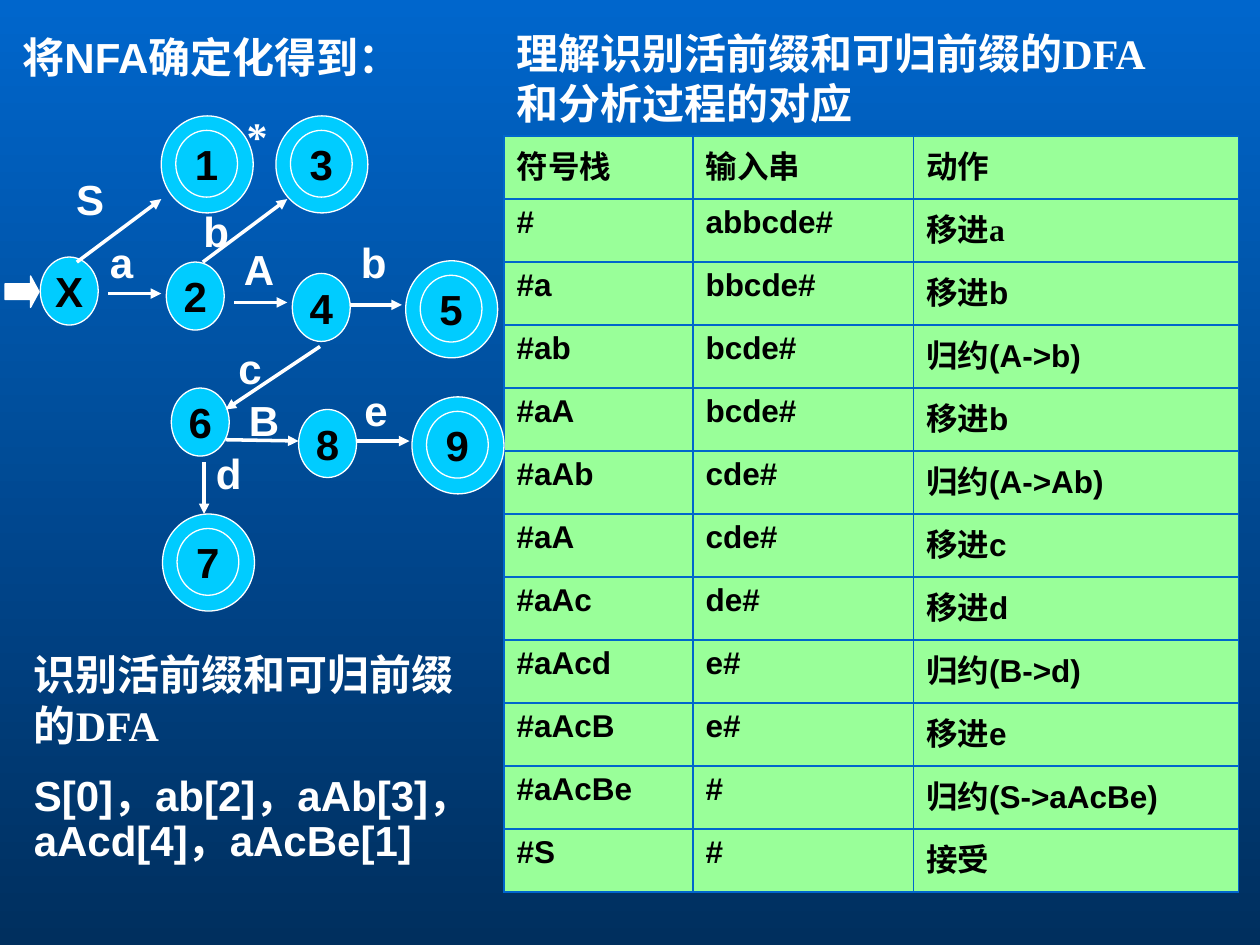
"""Build the slide that pairs a viable-prefix DFA with its shift-reduce parse."""
from typing import NamedTuple

from lxml import etree
from pptx import Presentation
from pptx import util as u
from pptx.dml.color import RGBColor
from pptx.enum import shapes, text
from pptx.oxml.ns import qn

WHITE = RGBColor(0xFF, 0xFF, 0xFF)
BLACK = RGBColor(0x00, 0x00, 0x00)
CYAN = RGBColor(0x00, 0xCC, 0xFF)
GREEN = RGBColor(0x99, 0xFF, 0x99)
BLUE = RGBColor(0x00, 0x66, 0xCC)
NAVY = RGBColor(0x00, 0x2F, 0x5E)
SANS, SERIF = "Arial", "Times New Roman"
COLS, ROWS = 100, 75
CENTER = text.PP_ALIGN.CENTER
MIDDLE = text.MSO_ANCHOR.MIDDLE

prs = Presentation()
prs.slide_width, prs.slide_height = u.Inches(10), u.Inches(7.5)
COL, ROW = prs.slide_width / COLS, prs.slide_height / ROWS


class Box(NamedTuple):
    x: float
    y: float
    w: float
    h: float


class State(NamedTuple):
    name: str
    x: float
    y: float
    final: bool = False


class Edge(NamedTuple):
    x1: float
    y1: float
    x2: float
    y2: float
    label: str
    label_x: float
    label_y: float


class Caption(NamedTuple):
    words: str
    box: Box
    font: str = SANS
    spacing: float = 1.0


STATES = [
    State("X", 3.2, 20.4), State("2", 13.2, 20.8), State("4", 23.2, 21.7),
    State("6", 13.6, 30.8), State("8", 23.7, 32.5),
    State("1", 12.8, 9.2, True), State("3", 21.9, 9.2, True),
    State("5", 32.2, 20.7, True), State("7", 12.9, 40.8, True),
    State("9", 32.7, 31.5, True),
]
EDGES = [
    Edge(8.6, 23.3, 12.8, 23.3, "a", 6.9, 18.3),
    Edge(6.1, 20.8, 12.8, 15.8, "S", 4.4, 13.3),
    Edge(18.6, 24, 22.8, 24, "A", 17.8, 18.8),
    Edge(27.8, 24.2, 31.9, 24.2, "b", 26.9, 18.3),
    Edge(16.1, 20.8, 22.8, 15.8, "b", 14.4, 15.8),
    Edge(25.4, 27.5, 17.9, 32.5, "c", 17.1, 26.7),
    Edge(16.2, 36.7, 16.2, 40.8, "d", 15.4, 35),
    Edge(17.9, 34.9, 23.7, 35, "B", 18.2, 30.8),
    Edge(28.3, 35, 32.5, 35, "e", 27.1, 30),
]
CAPTIONS = [
    Caption("*", Box(18.6, 8.3, 3.3, 5), SERIF),
    Caption("识别活前缀和可归前缀的DFA", Box(1.7, 51, 36.7, 9), SERIF),
    Caption("理解识别活前缀和可归前缀的DFA和分析过程的对应",
            Box(40, 1.7, 54.2, 9), SERIF),
    Caption("将NFA确定化得到：", Box(0.8, 2.5, 39.2, 4.6), spacing=0.9),
    Caption("S[0]，ab[2]，aAb[3]，aAcd[4]，aAcBe[1]",
            Box(1.7, 61, 36.7, 11.8), spacing=0.9),
]
TABLE_BOX = Box(40, 10.8, 58.3, 60)
TABLE_COLS = [15, 17.5, 25.8]
STEPS = [
    ("符号栈", "输入串", "动作"),
    ("#", "abbcde#", "移进a"),
    ("#a", "bbcde#", "移进b"),
    ("#ab", "bcde#", "归约(A->b)"),
    ("#aA", "bcde#", "移进b"),
    ("#aAb", "cde#", "归约(A->Ab)"),
    ("#aA", "cde#", "移进c"),
    ("#aAc", "de#", "移进d"),
    ("#aAcd", "e#", "归约(B->d)"),
    ("#aAcB", "e#", "移进e"),
    ("#aAcBe", "#", "归约(S->aAcBe)"),
    ("#S", "#", "接受"),
]
SERIF_CELLS = {"动作", "移进a"}


def place(box: Box) -> list[int]:
    """Turn a box in grid units into slide lengths."""
    return [round(v * unit) for v, unit in zip(box, (COL, ROW, COL, ROW))]


def write(tf, words: str, *, size: float = 24, font: str = SANS, color=WHITE,
          align=text.PP_ALIGN.LEFT, spacing: float = 1.0) -> None:
    """Put one bold formatted paragraph into a text frame."""
    p = tf.paragraphs[0]
    p.alignment, p.line_spacing = align, spacing
    r = p.add_run()
    r.text = words
    r.font.size, r.font.name, r.font.bold = u.Pt(size), font, True
    r.font.color.rgb = color


def add_label(s, words: str, box: Box, **style) -> None:
    """Add a wrapped text box."""
    tf = s.shapes.add_textbox(*place(box)).text_frame
    tf.word_wrap = True
    write(tf, words, **style)


def add_preset(s, kind, box: Box, fill):
    """Add a filled preset shape with a thin white outline."""
    sp = s.shapes.add_shape(kind, *place(box))
    sp.shadow.inherit = False
    sp.fill.solid()
    sp.fill.fore_color.rgb = fill
    sp.line.color.rgb, sp.line.width = WHITE, u.Pt(0.75)
    return sp


def add_state(s, state: State) -> None:
    """Draw a state, with a second ring when it is final."""
    oval = shapes.MSO_SHAPE.OVAL
    box = Box(state.x, state.y, 4.6, 5.4)
    if state.final:
        add_preset(s, oval, Box(state.x, state.y, 7.3, 7.7), CYAN)
        box = Box(state.x + 1.15, state.y + 1.15, 4.9, 5.3)
    tf = add_preset(s, oval, box, CYAN).text_frame
    tf.word_wrap, tf.vertical_anchor = False, MIDDLE
    write(tf, state.name, color=BLACK, align=CENTER)


def add_edge(s, edge: Edge) -> None:
    """Draw a labelled transition arrow."""
    ends = place(Box(edge.x1, edge.y1, edge.x2, edge.y2))
    line = s.shapes.add_connector(shapes.MSO_CONNECTOR.STRAIGHT, *ends)
    line.line.color.rgb, line.line.width = WHITE, u.Pt(2)
    etree.SubElement(line.line._get_or_add_ln(), qn("a:tailEnd"), type="triangle")
    etree.SubElement(line._element.spPr, qn("a:effectLst"))
    add_label(s, edge.label, Box(edge.label_x, edge.label_y, 5.5, 5), align=CENTER)


def add_borders(cell) -> None:
    """Outline all four sides of a table cell."""
    for side in ("lnL", "lnR", "lnT", "lnB"):
        ln = etree.SubElement(cell._tc.get_or_add_tcPr(), qn(f"a:{side}"),
                              w=str(u.Pt(1.08)))
        fill = etree.SubElement(ln, qn("a:solidFill"))
        etree.SubElement(fill, qn("a:srgbClr"), val=str(BLUE))


def add_steps(s) -> None:
    """Add the table of parsing steps."""
    frame = s.shapes.add_table(len(STEPS), len(TABLE_COLS), *place(TABLE_BOX))
    table = frame.table
    table.first_row = table.horz_banding = False
    for column, width in zip(table.columns, TABLE_COLS):
        column.width = round(width * COL)
    for i, step in enumerate(STEPS):
        for j, words in enumerate(step):
            cell = table.cell(i, j)
            add_borders(cell)
            cell.fill.solid()
            cell.fill.fore_color.rgb = GREEN
            font = SERIF if words in SERIF_CELLS else SANS
            write(cell.text_frame, words, size=18, font=font, color=BLACK)


def main() -> None:
    """Draw the slide and save it."""
    s = prs.slides.add_slide(prs.slide_layouts[6])
    bg = s.background.fill
    bg.gradient()
    bg.gradient_angle = 270
    for stop, color in zip(bg.gradient_stops, (BLUE, NAVY)):
        stop.color.rgb = color
    add_steps(s)
    start = add_preset(s, shapes.MSO_SHAPE.RIGHT_ARROW, Box(0.4, 21.9, 2.7, 2.5), WHITE)
    start.adjustments[1] = 0.27
    for state in STATES:
        add_state(s, state)
    for edge in EDGES:
        add_edge(s, edge)
    for c in CAPTIONS:
        add_label(s, c.words, c.box, font=c.font, spacing=c.spacing)
    prs.save("out.pptx")


if __name__ == "__main__":
    main()
